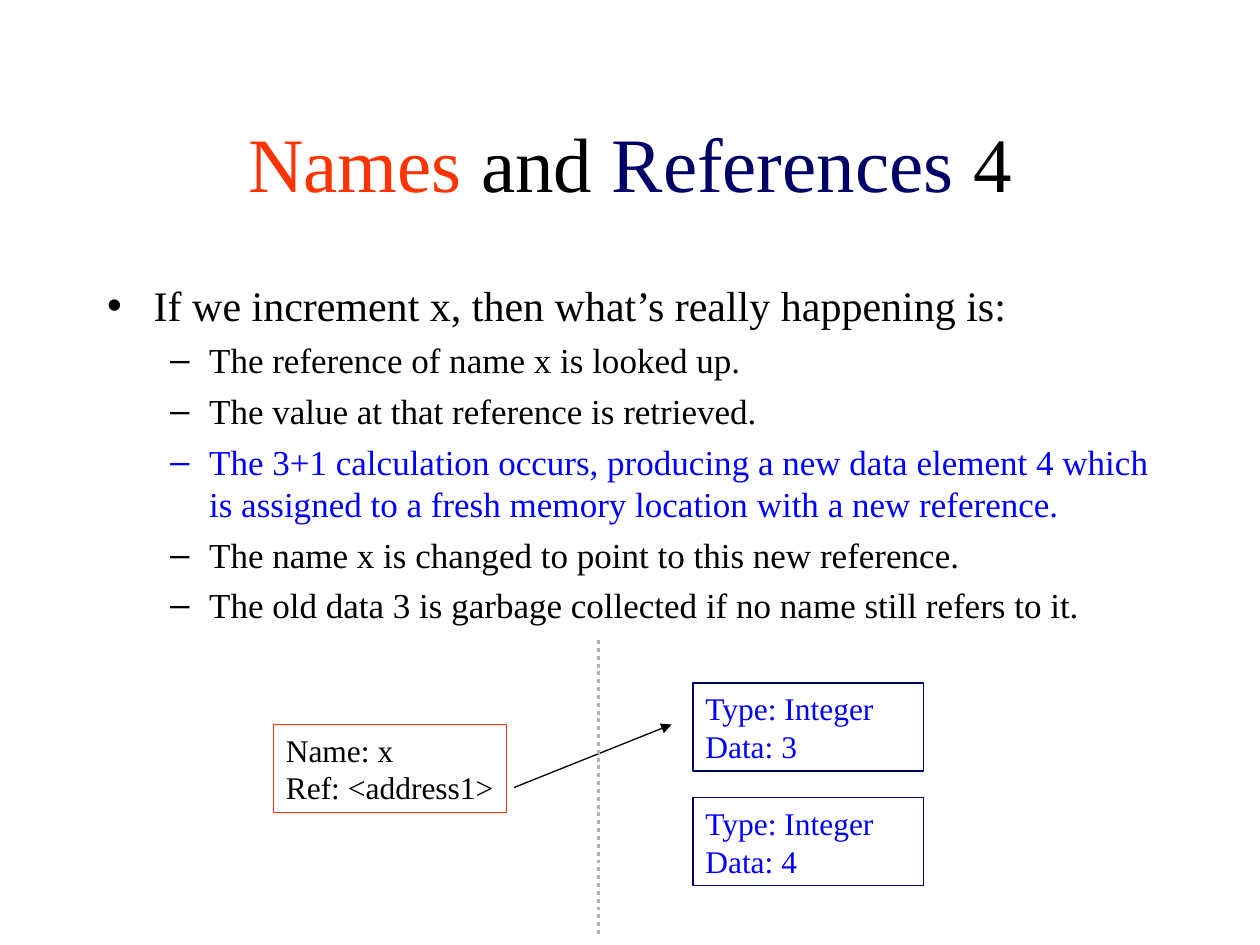
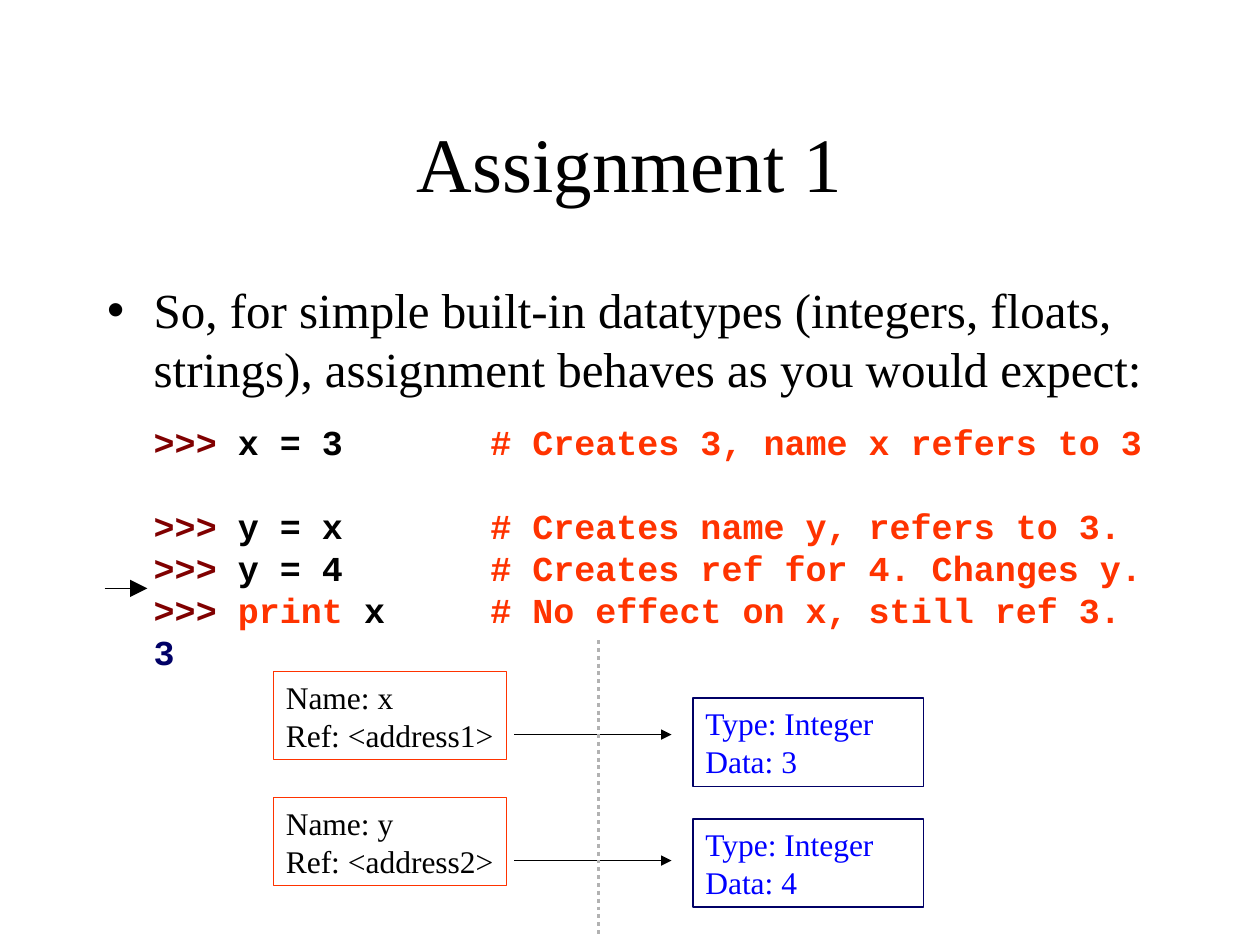
from dataclasses import dataclass

from lxml.etree import SubElement
from pptx import Presentation
from pptx.dml.color import RGBColor
from pptx.enum.dml import MSO_LINE
from pptx.enum.shapes import MSO_CONNECTOR, MSO_SHAPE
from pptx.enum.text import MSO_ANCHOR, MSO_AUTO_SIZE, PP_ALIGN
from pptx.oxml.ns import qn
from pptx.util import Inches, Pt


@dataclass(frozen=True)
class Theme:
    black: str = "000000"
    orange: str = "FF3300"
    navy: str = "000066"
    blue: str = "0000FF"
    maroon: str = "800000"
    grey: str = "B2B2B2"
    serif: str = "Times New Roman"
    mono: str = "Courier New"
    bullet: str = "Arial"
    title: int = 44
    lead: int = 28
    small_lead: int = 24
    item: int = 20
    box: int = 18
    leading: float = 1.2


THEME = Theme()
PROMPT = (">>>", THEME.maroon)

# Content: text pieces are (text, colour); box rows give their top in inches
SLIDES = [
    {
        "title": [("Names", THEME.orange), (" and ", THEME.black),
                  ("References", THEME.navy), (" 4", THEME.black)],
        "lead": "If we increment x, then what’s really happening is:",
        "lead_size": THEME.small_lead,
        "body_height": 4.5,
        "steps": [
            ("The reference of name x is looked up.", THEME.black),
            ("The value at that reference is retrieved.", THEME.black),
            ("The 3+1 calculation occurs, producing a new data element 4 which "
             "is assigned to a fresh memory location with a new reference.", THEME.blue),
            ("The name x is changed to point to this new reference.", THEME.black),
            ("The old data 3 is garbage collected if no name still refers to it.",
             THEME.black),
        ],
        "names": [(5.75, "x", 1)],
        "data": [(5.42, 3), (6.33, 4)],
        "references": [(6.25, 5.75)],
    },
    {
        "title": [("Assignment 1", THEME.black)],
        "lead": "So, for simple built-in datatypes (integers, floats, strings), "
                "assignment behaves as you would expect:",
        "lead_size": THEME.lead,
        "body_height": 4.83,
        # (space before in points, statement, comment)
        "code": [
            (13, [PROMPT, (" x = 3", THEME.black)], "# Creates 3, name x refers to 3"),
            (24, [PROMPT, (" y = x", THEME.black)], "# Creates name y, refers to 3."),
            (0, [PROMPT, (" y = 4", THEME.black)], "# Creates ref for 4. Changes y."),
            (0, [PROMPT, (" print ", THEME.orange), ("x", THEME.black)],
             "# No effect on x, still ref 3."),
            (0, [("3", THEME.navy)], ""),
        ],
        "names": [(5.33, "x", 1), (6.33, "y", 2)],
        "data": [(5.54, 3), (6.5, 4)],
        "references": [(5.83, 5.83), (6.83, 6.83)],
        "current_line": 4.67,
    },
]

# Grid, in inches
MARGIN, CONTENT_WIDTH = 0.75, 8.5
TITLE_TOP, TITLE_HEIGHT, BODY_TOP = 0.66, 1.25, 2.17
LEAD_INDENT, STEP_INDENT, STEP_HANG = 0.37, 0.81, 0.31
NAME_LEFT, NAME_WIDTH = 2.17, 1.85
DATA_LEFT, DATA_WIDTH = 5.5, 1.83
BOX_HEIGHT = 0.7
REFERENCE_SPAN = (4.08, 5.33)
DIVIDER_X, DIVIDER_SPAN = 4.75, (5.08, 7.42)
MARKER_SPAN = (0.83, 1.17)
COMMENT_COLUMN = 16  # characters of code before a comment


def write(paragraph, pieces, size, font=THEME.serif, bold=False, before=0,
          align=PP_ALIGN.LEFT, level=0, margin=0, hang=0, bullet=None):
    """Fill a paragraph with coloured pieces of text and format it."""
    paragraph.alignment, paragraph.level = align, level
    paragraph.space_before, paragraph.space_after = Pt(before), Pt(0)
    paragraph.line_spacing = Pt(round(size * THEME.leading, 1))
    for text, color in pieces:
        run = paragraph.add_run()
        run.text = text
        run.font.name, run.font.size, run.font.bold = font, Pt(size), bold
        run.font.color.rgb = RGBColor.from_string(color)
    properties = paragraph._p.get_or_add_pPr()
    properties.set("marL", str(Inches(margin)))
    properties.set("indent", str(Inches(-hang)))
    if bullet:
        SubElement(properties, qn("a:buFont"), typeface=THEME.bullet)
        SubElement(properties, qn("a:buChar"), char=bullet)
    else:
        SubElement(properties, qn("a:buNone"))


def place(shape, left, top, width, height):
    shape.left, shape.top = Inches(left), Inches(top)
    shape.width, shape.height = Inches(width), Inches(height)


def add_line(slide, start, end, color=THEME.black, width=0.75, arrow=None, dash=None):
    line = slide.shapes.add_connector(
        MSO_CONNECTOR.STRAIGHT, *(Inches(v) for v in (*start, *end)))
    line.line.color.rgb = RGBColor.from_string(color)
    line.line.width = Pt(width)
    if dash:
        line.line.dash_style = dash
    if arrow:
        SubElement(line.line._get_or_add_ln(), qn("a:tailEnd"),
                   type="triangle", w=arrow, len=arrow)
    SubElement(line._element.spPr, qn("a:effectLst"))


def add_box(slide, left, top, width, rows, outline, color, wrap):
    box = slide.shapes.add_shape(
        MSO_SHAPE.RECTANGLE, *(Inches(v) for v in (left, top, width, BOX_HEIGHT)))
    box.shadow.inherit = False
    box.fill.background()
    box.line.color.rgb = RGBColor.from_string(outline)
    box.line.width = Pt(0.75)
    frame = box.text_frame
    frame.word_wrap, frame.vertical_anchor = wrap, MSO_ANCHOR.TOP
    frame.auto_size = MSO_AUTO_SIZE.SHAPE_TO_FIT_TEXT
    for index, row in enumerate(rows):
        paragraph = frame.add_paragraph() if index else frame.paragraphs[0]
        write(paragraph, [(row, color)], THEME.box)


def add_text(slide, content):
    # Title
    title, body = slide.shapes.title, slide.placeholders[1]
    place(title, MARGIN, TITLE_TOP, CONTENT_WIDTH, TITLE_HEIGHT)
    title.text_frame.vertical_anchor = MSO_ANCHOR.MIDDLE
    write(title.text_frame.paragraphs[0], content["title"], THEME.title,
          align=PP_ALIGN.CENTER)

    # Lead sentence with its steps or code
    place(body, MARGIN, BODY_TOP, CONTENT_WIDTH, content["body_height"])
    frame = body.text_frame
    for text_frame in (title.text_frame, frame):
        text_frame.auto_size = MSO_AUTO_SIZE.NONE
    write(frame.paragraphs[0], [(content["lead"], THEME.black)], content["lead_size"],
          before=6, margin=LEAD_INDENT, hang=LEAD_INDENT, bullet="•")
    for step in content.get("steps", []):
        write(frame.add_paragraph(), [step], THEME.item, before=5, level=1,
              margin=STEP_INDENT, hang=STEP_HANG, bullet="–")
    for gap, statement, comment in content.get("code", []):
        pieces = list(statement)
        if comment:
            used = sum(len(text) for text, _ in statement)
            width = COMMENT_COLUMN - used + len(comment)
            pieces.append((comment.rjust(width), THEME.orange))
        write(frame.add_paragraph(), pieces, THEME.item, font=THEME.mono, bold=True,
              before=gap, margin=LEAD_INDENT)


def add_memory_diagram(slide, content):
    for top, value in content["data"]:
        add_box(slide, DATA_LEFT, top, DATA_WIDTH, ["Type: Integer", f"Data: {value}"],
                THEME.navy, THEME.blue, wrap=True)
    for top, name, address in content["names"]:
        add_box(slide, NAME_LEFT, top, NAME_WIDTH,
                [f"Name: {name}", f"Ref: <address{address}>"],
                THEME.orange, THEME.black, wrap=False)
    for ends in content["references"]:
        start, end = zip(REFERENCE_SPAN, ends)
        add_line(slide, start, end, arrow="med")
    top, bottom = DIVIDER_SPAN
    add_line(slide, (DIVIDER_X, top), (DIVIDER_X, bottom), THEME.grey, 2.25,
             dash=MSO_LINE.ROUND_DOT)
    if "current_line" in content:
        start, end = ((x, content["current_line"]) for x in MARKER_SPAN)
        add_line(slide, start, end, arrow="lg")


def main():
    deck = Presentation()
    deck.slide_width, deck.slide_height = Inches(10), Inches(7.5)
    for content in SLIDES:
        slide = deck.slides.add_slide(deck.slide_layouts[1])
        add_text(slide, content)
        add_memory_diagram(slide, content)
    deck.save("out.pptx")


if __name__ == "__main__":
    main()
